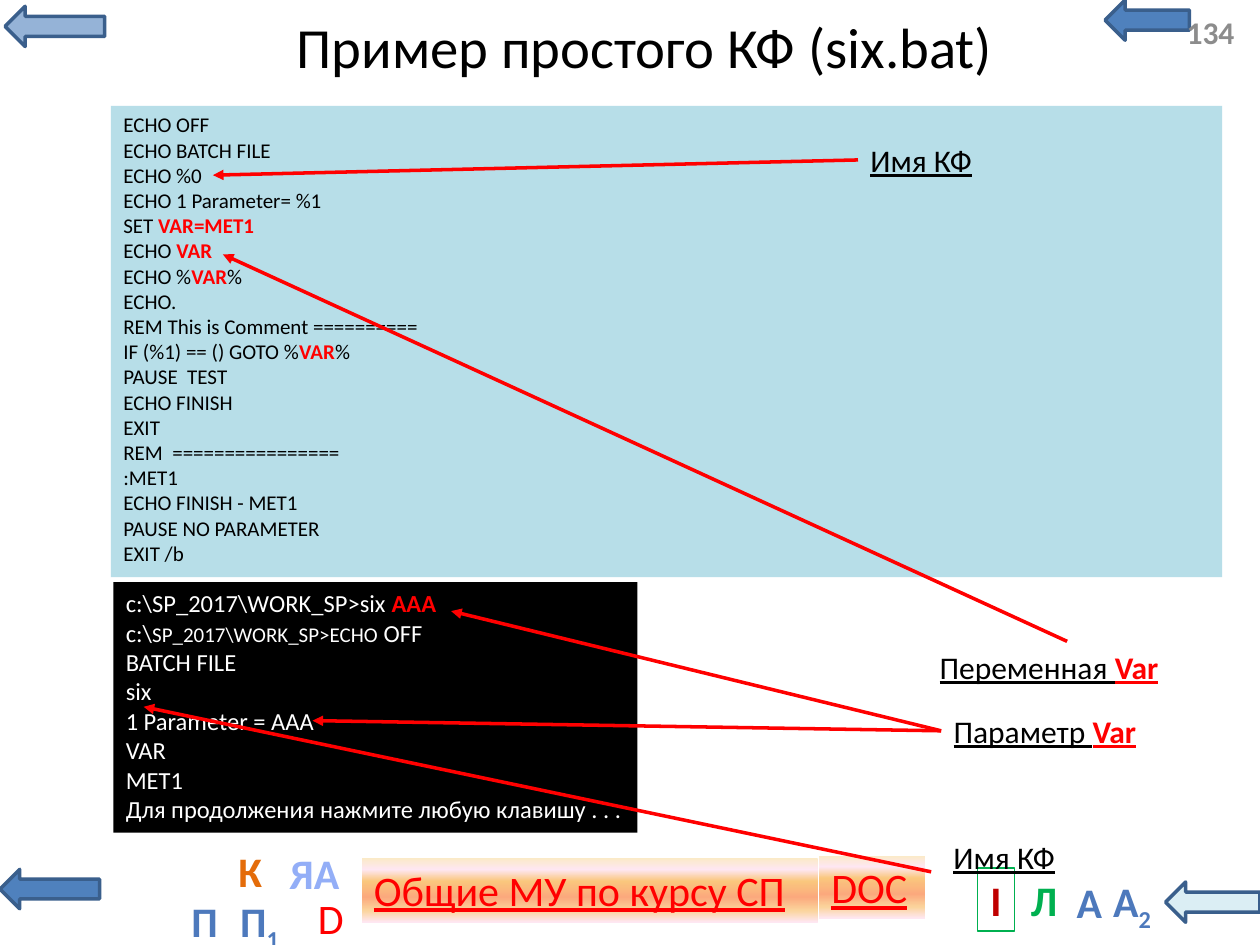
import pptx
import pptx.dml.color
import pptx.enum.dml
import pptx.enum.shapes
import pptx.enum.text
import pptx.oxml.ns
import pptx.util
from lxml import etree

Pt = pptx.util.Pt
KIND = pptx.enum.shapes.MSO_SHAPE
ALIGN = pptx.enum.text.PP_ALIGN
ANCHOR = pptx.enum.text.MSO_ANCHOR
qn = pptx.oxml.ns.qn

RED, BLACK, WHITE, BLUE = "FF0000", "000000", "FFFFFF", "4D79BC"
GLOW = [(0, "FBEAC7"), (18, "FEE7F2"), (36, "FAC77D"),
        (61, "FBA97D"), (82, "FBD49C"), (100, "FEE7F2")]


def rgb(code):
    return pptx.dml.color.RGBColor.from_string(code)


def style(font, size=None, hue=None, bold=None, line=None):
    if size:
        font.size = Pt(size)
    if hue:
        font.color.rgb = rgb(hue)
    if bold is not None:
        font.bold = bold
    if line:
        font.underline = True


def red(text):
    return text, {"hue": RED, "bold": True}


def write(shape, lines, align=ALIGN.LEFT, anchor=ANCHOR.TOP, wrap=True, **look):
    """Fill a shape with lines; a line is a string or a list of styled parts."""
    frame = shape.text_frame
    frame.word_wrap = wrap
    frame.vertical_anchor = anchor
    for i, line in enumerate(lines):
        para = frame.add_paragraph() if i else frame.paragraphs[0]
        para.alignment = align
        para.font.name = "Calibri"
        style(para.font, **look)
        for part in [line] if isinstance(line, str) else line:
            text, extra = (part, {}) if isinstance(part, str) else part
            run = para.add_run()
            run.text = text
            style(run.font, **extra)


def label(slide, box, lines, **look):
    shape = slide.shapes.add_textbox(*map(Pt, box))
    write(shape, lines, **look)
    return shape


def block(slide, box, fill=None, edge=None, width=0.75, kind=KIND.RECTANGLE):
    shape = slide.shapes.add_shape(kind, *map(Pt, box))
    shape.shadow.inherit = False
    if fill:
        shape.fill.solid()
        shape.fill.fore_color.rgb = rgb(fill)
    else:
        shape.fill.background()
    if edge:
        shape.line.color.rgb = rgb(edge)
        shape.line.width = Pt(width)
    else:
        shape.line.fill.background()
    return shape


def button(slide, box, text):
    shape = block(slide, box)
    shape.fill.gradient()
    shape.fill.gradient_angle = 270
    stops = shape._element.spPr.find(".//" + qn("a:gsLst"))
    for old in list(stops):
        stops.remove(old)
    for spot, code in GLOW:
        stop = etree.SubElement(stops, qn("a:gs"), pos=str(spot * 1000))
        etree.SubElement(stop, qn("a:srgbClr"), val=code)
    write(shape, [text], size=24, hue=RED, line=True)


def letter(slide, box, text, hue, sub="", bold=True, edge=None):
    shape = block(slide, box, edge=edge)
    parts = [text, sub] if sub else [text]
    write(shape, [parts], align=ALIGN.CENTER, wrap=False,
          size=24, hue=hue, bold=bold)
    if sub:
        low = shape.text_frame.paragraphs[0].runs[1]
        low._r.get_or_add_rPr().set("baseline", "-25000")


def pointer(slide, tip, end):
    line = slide.shapes.add_connector(
        pptx.enum.shapes.MSO_CONNECTOR.STRAIGHT, *map(Pt, tip + end))
    line.line.color.rgb = rgb(RED)
    line.line.width = Pt(2)
    etree.SubElement(line.line._get_or_add_ln(), qn("a:headEnd"), type="triangle")
    etree.SubElement(line._element.spPr, qn("a:effectLst"))


def footer(slide):
    for box, fill in [((631.5, 0, 48.2, 23), "4F81BD"),
                      ((0, 496.8, 56.9, 22.5), "4F81BD"),
                      ((2.9, 3.6, 56.9, 23), "95B3D7"),
                      ((666, 504, 54, 23), "DBEEF4")]:
        block(slide, box, fill, "3A5F8C", 2, KIND.LEFT_ARROW)
    button(slide, (206.6, 490.3, 260.6, 36.7), "Общие МУ по курсу СП")
    button(slide, (468, 488.9, 60.5, 36), "DOC")
    letter(slide, (607.7, 497.5, 29.5, 36), "А", BLUE)
    letter(slide, (627.8, 496.8, 38.2, 36), "А", BLUE, "2")
    letter(slide, (128.9, 479.5, 28.1, 36), "К", "E46C0A")
    letter(slide, (157, 481, 45.4, 36), "ЯА", "93AEF7")
    letter(slide, (175, 506.2, 28.1, 36), "D", RED, bold=False)
    letter(slide, (558.7, 496.1, 20.9, 36), "I", "C00000", edge="00B050")
    letter(slide, (581.8, 496.1, 29.5, 36), "Л", "00B050")
    letter(slide, (105.1, 508.3, 23.8, 36), "П", BLUE)
    letter(slide, (128.9, 508.3, 38.9, 36), "П", BLUE, "1")


def listing(slide):
    code = block(slide, (63.4, 60.5, 635, 269.3), "B7DEE8")
    write(code, [
        "ECHO OFF", "ECHO BATCH FILE", "ECHO %0", "ECHO 1 Parameter= %1",
        ["SET ", red("VAR=MET1")], ["ECHO ", red("VAR")],
        ["ECHO %", red("VAR"), "%"], "ECHO.",
        "REM This is Comment ==========",
        ["IF (%1) == () GOTO %", red("VAR"), "%"],
        "PAUSE  TEST", "ECHO FINISH", "EXIT", "REM  ================",
        ":MET1", "ECHO FINISH - MET1", "PAUSE NO PARAMETER", "EXIT /b",
    ], size=12, hue=BLACK)


def console(slide):
    screen = block(slide, (64.8, 332.6, 299.5, 143.3), BLACK)
    write(screen, [
        ["c:\\SP_2017\\WORK_SP>six ", red("AAA")],
        ["c:\\", ("SP_2017\\WORK_SP>ECHO", {"size": 12}), " OFF"],
        "BATCH FILE", "six", "1 Parameter = AAA", "VAR", "MET1",
        "Для продолжения нажмите любую клавишу . . .",
    ], wrap=False, size=14, hue=WHITE)


def notes(slide):
    for box, line in [
            ((529.9, 366.5, 158.4, 28.8), ["Переменная ", red("Var")]),
            ((537.8, 403.2, 159.1, 28.8), ["Параметр ", red("Var")]),
            ((537.8, 475.2, 79.2, 28.8), "Имя КФ"),
            ((490.3, 77, 90.7, 28.8), "Имя КФ")]:
        label(slide, box, [line], size=18, hue=BLACK, line=True)
    for tip, end in [((127.4, 145.4), (609.8, 366.5)),
                     ((257.8, 349.2), (537.8, 417.6)),
                     ((178.6, 411.8), (537.8, 417.6)),
                     ((82.1, 403.9), (532.1, 498.2)),
                     ((121.7, 100.1), (490.3, 91.4))]:
        pointer(slide, tip, end)


def main():
    deck = pptx.Presentation()
    deck.slide_width, deck.slide_height = Pt(720), Pt(540)
    slide = deck.slides.add_slide(deck.slide_layouts[6])
    footer(slide)
    label(slide, (155.5, 3.6, 425.5, 45.4), ["Пример простого КФ (six.bat)"],
          align=ALIGN.CENTER, anchor=ANCHOR.MIDDLE, size=32.4, hue=BLACK)
    label(slide, (671, 3.6, 46.1, 28.8), ["134"],
          anchor=ANCHOR.MIDDLE, size=18, hue="8C8C8C", bold=True)
    listing(slide)
    console(slide)
    notes(slide)
    deck.save("out.pptx")


if __name__ == "__main__":
    main()
